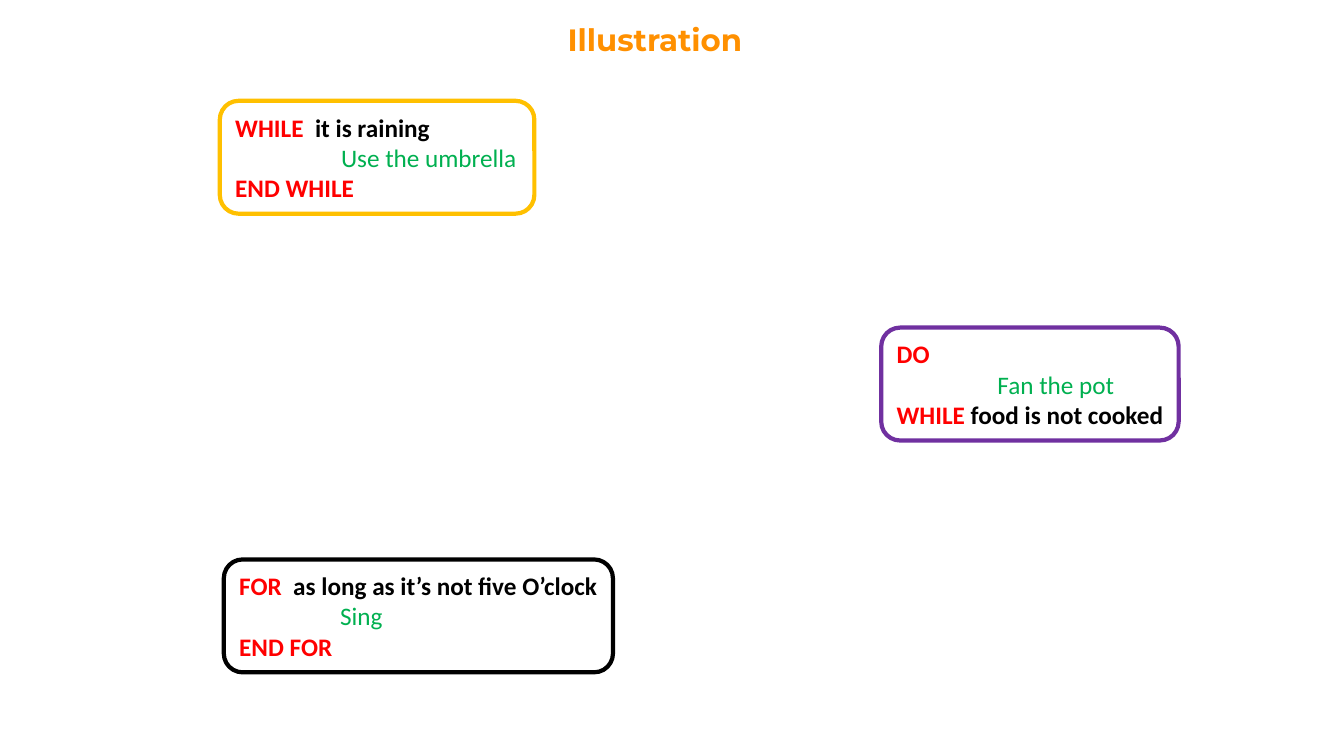
from dataclasses import dataclass

from pptx import Presentation
from pptx.dml.color import RGBColor
from pptx.enum.shapes import MSO_SHAPE
from pptx.enum.text import MSO_ANCHOR, PP_ALIGN
from pptx.util import Inches, Pt


@dataclass(frozen=True)
class Theme:
    title_font: str = "Montserrat"
    body_font: str = "Calibri"
    title_size: int = 22
    body_size: int = 18
    border_width: int = 3
    title: str = "FF9000"
    keyword: str = "FF0000"
    condition: str = "000000"
    action: str = "00B050"
    while_border: str = "FFC000"
    do_border: str = "7030A0"
    for_border: str = "000000"


THEME = Theme()
LOOP_HEIGHT = 1.12


def format_span(span, font, size, color, bold=True):
    span.font.name = font
    span.font.size = Pt(size)
    span.font.bold = bold
    span.font.color.rgb = RGBColor.from_string(color)


def add_title(page, box, text):
    title = page.shapes.title
    title.left, title.top, title.width, title.height = map(Inches, box)
    frame = title.text_frame
    frame.text = text
    frame.word_wrap = False
    frame.vertical_anchor = MSO_ANCHOR.MIDDLE
    para = frame.paragraphs[0]
    para.alignment = PP_ALIGN.LEFT
    format_span(para.runs[0], THEME.title_font, THEME.title_size, THEME.title)


def add_loop(page, box, border, lines, indent):
    """Draw a bordered loop; each line is a list of (text, role) pairs."""
    loop = page.shapes.add_shape(MSO_SHAPE.ROUNDED_RECTANGLE, *map(Inches, box))
    loop.shadow.inherit = False
    loop.fill.background()
    loop.line.color.rgb = RGBColor.from_string(border)
    loop.line.width = Pt(THEME.border_width)

    frame = loop.text_frame
    frame.word_wrap = True
    frame.margin_right = 0
    frame.vertical_anchor = MSO_ANCHOR.MIDDLE
    for number, line in enumerate(lines):
        para = frame.add_paragraph() if number else frame.paragraphs[0]
        para.alignment = PP_ALIGN.LEFT
        for text, role in line:
            span = para.add_run()
            span.text = text
            is_action = role == "action"
            format_span(span, THEME.body_font, THEME.body_size,
                        getattr(THEME, role), bold=not is_action)
            # Loop bodies are indented
            if is_action:
                properties = para._p.get_or_add_pPr()
                properties.set("marL", str(Inches(indent)))
                properties.set("indent", "0")


def build_illustration(deck):
    page = deck.slides.add_slide(deck.slide_layouts[5])
    add_title(page, (5.53, 0.15, 1.97, 0.47), "Illustration")

    # While loop
    add_loop(page, (2.18, 1, 3.12, LOOP_HEIGHT), THEME.while_border, [
        [("WHILE  ", "keyword"), ("it is raining", "condition")],
        [("Use the umbrella", "action")],
        [("END WHILE", "keyword")],
    ], indent=1.05)

    # Do-while loop
    add_loop(page, (8.74, 3.25, 2.95, LOOP_HEIGHT), THEME.do_border, [
        [("DO", "keyword")],
        [("Fan the pot", "action")],
        [("WHILE ", "keyword"), ("food is not cooked", "condition")],
    ], indent=1)

    # For loop
    add_loop(page, (2.22, 5.55, 3.86, LOOP_HEIGHT), THEME.for_border, [
        [("FOR  ", "keyword"), ("as long as it’s not five O’clock", "condition")],
        [("Sing", "action")],
        [("END FOR", "keyword")],
    ], indent=1)


deck = Presentation()
deck.slide_width, deck.slide_height = Inches(13.33), Inches(7.5)
build_illustration(deck)
deck.save("out.pptx")
